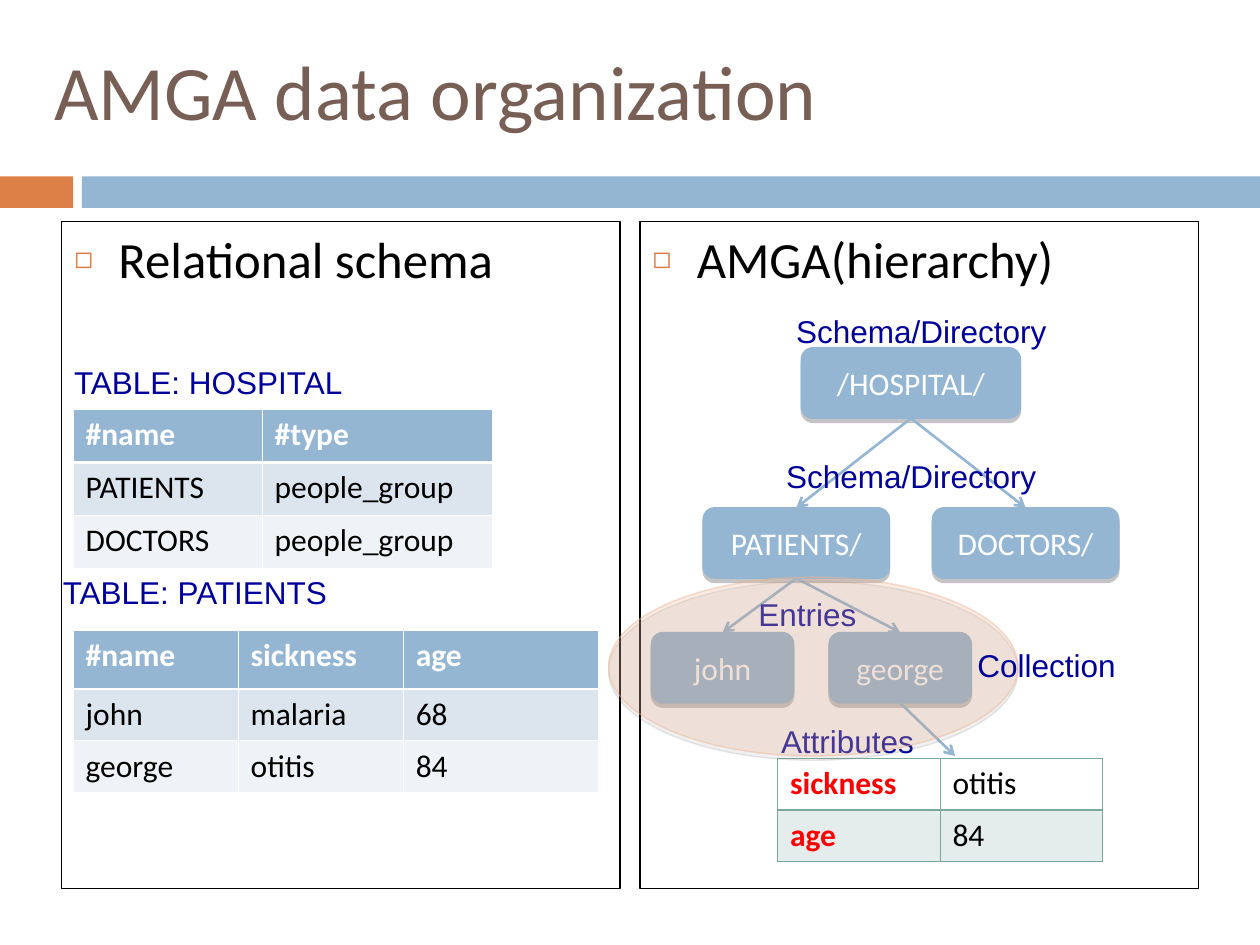
from lxml.etree import SubElement
from pptx import Presentation
from pptx.dml.color import RGBColor
from pptx.enum.shapes import MSO_CONNECTOR, MSO_SHAPE as SHAPE
from pptx.enum.text import MSO_ANCHOR as ANCHOR, MSO_AUTO_SIZE as FIT, PP_ALIGN as ALIGN
from pptx.oxml import parse_xml
from pptx.oxml.ns import nsdecls, qn
from pptx.util import Inches, Pt

NS = nsdecls("a")
BLUE, ORANGE, PEACH, GREEN = "94B6D2", "DD8047", "EBB391", "7BA79D"
WHITE, BLACK, RED, NAVY = "FFFFFF", "000000", "FF0000", "000099"
SHADOW = (f'<a:outerShdw {NS} blurRad="0" dist="30480" dir="5400000" algn="ctr" rotWithShape="0">'
          '<a:srgbClr val="808080"><a:alpha val="45000"/></a:srgbClr></a:outerShdw>')
rgb = RGBColor.from_string

prs = Presentation()
prs.slide_width, prs.slide_height = Inches(10), Inches(7.5)
s = prs.slides.add_slide(prs.slide_layouts[3])
unit = prs.slide_width / 100


def grid(*cells):
    return [round(c * unit) for c in cells]


def write(tf, text, color, size=18, name="Calibri", bold=False, align=ALIGN.LEFT):
    p = tf.paragraphs[0]
    p.alignment, p.space_before = align, Pt(0)
    r = p.add_run()
    r.text = text
    for key, value in {"size": Pt(size), "name": name, "bold": bold}.items():
        setattr(r.font, key, value)
    r.font.color.rgb = rgb(color)


title, left, right = s.placeholders
for ph, box in ((title, (3.3, 2.5, 95, 9.2)),
                (left, (4.9, 17.6, 44.3, 52.9)),
                (right, (50.8, 17.6, 44.3, 52.9))):
    ph.left, ph.top, ph.width, ph.height = grid(*box)
    ph.text_frame.auto_size = FIT.NONE
title.text_frame.vertical_anchor = ANCHOR.MIDDLE
write(title.text_frame, "AMGA data organization", "775F55", 44)

for ph, text in ((left, "Relational schema"), (right, "AMGA(hierarchy)")):
    ph.line.color.rgb = rgb(BLACK)
    ph.line.width = Pt(0.75)
    pPr = ph.text_frame.paragraphs[0]._p.get_or_add_pPr()
    pPr.set("marL", str(Inches(0.35)))
    pPr.set("indent", str(-Inches(0.35)))
    for bullet in (f'<a:buClr {NS}><a:srgbClr val="{ORANGE}"/></a:buClr>',
                   f'<a:buSzPct {NS} val="60000"/>',
                   f'<a:buChar {NS} char="◻"/>'):
        pPr.append(parse_xml(bullet))
    write(ph.text_frame, text, BLACK, 29)

for x, w, color in ((0, 5.8, ORANGE), (6.5, 93.5, BLUE)):
    sp = s.shapes.add_shape(SHAPE.RECTANGLE, *grid(x, 14, w, 2.5))
    sp.shadow.inherit = False
    sp.fill.solid()
    sp.fill.fore_color.rgb = rgb(color)
    sp.line.fill.background()

nodes = {}
for text, x, y, w in (("/HOSPITAL/", 63.6, 27.6, 17.4),
                      ("PATIENTS/", 55.8, 40.3, 14.8),
                      ("DOCTORS/", 74, 40.3, 14.8),
                      ("john", 51.7, 50.2, 11.3),
                      ("george", 65.8, 50.2, 11.3)):
    sp = nodes[text] = s.shapes.add_shape(SHAPE.ROUNDED_RECTANGLE, *grid(x, y, w, 5.6))
    sp.fill.solid()
    sp.fill.fore_color.rgb = sp.line.color.rgb = rgb(BLUE)
    sp.line.width = Pt(0.79)
    sp.shadow.inherit = False
    sp._element.spPr.find(qn("a:effectLst")).append(parse_xml(SHADOW))
    sp.text_frame.vertical_anchor = ANCHOR.MIDDLE
    write(sp.text_frame, text, WHITE, align=ALIGN.CENTER)

for start, end in (("/HOSPITAL/", "PATIENTS/"), ("/HOSPITAL/", "DOCTORS/"),
                   ("PATIENTS/", "john"), ("PATIENTS/", "george"),
                   ("george", "attributes")):
    c = s.shapes.add_connector(MSO_CONNECTOR.STRAIGHT, *grid(75.8, 60, 75.8, 60))
    c.begin_connect(nodes[start], 2)
    if end in nodes:
        c.end_connect(nodes[end], 0)
    c.line.color.rgb = rgb(BLUE)
    c.line.width = Pt(1.5)
    spPr = c._element.spPr
    SubElement(spPr.find(qn("a:ln")), qn("a:tailEnd"), type="arrow")
    SubElement(spPr, qn("a:effectLst"))

header = [(BLUE, 100), ("DCE5EE", 100), ("EFF3F7", 100)]
plain = [(None, 0), (GREEN, 20)]
for x, y, cols, rows, data, fills, edge, rule in (
    (5.8, 50, (13.1, 13.1, 15.5), (4.7, 4.1, 4),
     (("#name", "sickness", "age"), ("john", "malaria", "68"), ("george", "otitis", "84")),
     header, WHITE, 1.47),
    (61.7, 60.2, (12.9, 12.9), (4.1, 4),
     (("sickness", "otitis"), ("age", "84")), plain, GREEN, 0.96),
    (5.8, 32.5, (15,), (4.2,) * 3, (("#name",), ("PATIENTS",), ("DOCTORS",)),
     header, WHITE, 1.47),
    (20.8, 32.5, (18.3,), (4.2,) * 3, (("#type",), ("people_group",), ("people_group",)),
     header, WHITE, 1.47),
):
    tbl = s.shapes.add_table(len(rows), len(cols), *grid(x, y, sum(cols), sum(rows))).table
    for col, w in zip(tbl.columns, grid(*cols)):
        col.width = w
    for i, (row, h) in enumerate(zip(tbl.rows, grid(*rows))):
        row.height = h
        fill, alpha = fills[i]
        for j, cell in enumerate(row.cells):
            tcPr = cell._tc.get_or_add_tcPr()
            if fill:
                cell.fill.solid()
                cell.fill.fore_color.rgb = rgb(fill)
                if alpha < 100:
                    SubElement(next(tcPr.iter(qn("a:srgbClr"))), qn("a:alpha"), val=str(alpha * 1000))
            else:
                cell.fill.background()
            widths = {"L": 0.45, "R": 0.45, "T": rule if i == 1 else 0.45, "B": rule if i == 0 else 0.45}
            for k, (side, width) in enumerate(widths.items()):
                tcPr.insert(k, parse_xml(
                    f'<a:ln{side} {NS} w="{Pt(width)}"><a:solidFill><a:srgbClr val="{edge}"/>'
                    f'</a:solidFill></a:ln{side}>'))
            if fills is plain:
                bold, color = j == 0, RED if j == 0 else BLACK
            else:
                bold, color = i == 0, WHITE if i == 0 else BLACK
            write(cell.text_frame, data[i][j], color, bold=bold)

for text, x, y, w, h in (("Attributes", 61, 56.8, 12.5, 4),
                         ("Entries", 59.2, 46.7, 9.8, 4),
                         ("Schema/Directory", 61.4, 35.8, 21.8, 7.7),
                         ("Schema/Directory", 62.2, 24.3, 21.8, 7.7),
                         ("TABLE: PATIENTS", 4, 45, 23.5, 4),
                         ("TABLE: HOSPITAL", 4.9, 28.3, 23.6, 4),
                         ("Collection", 76.6, 50.8, 13, 4)):
    if text == "Collection":
        sp = s.shapes.add_shape(SHAPE.OVAL, *grid(48.3, 45.8, 32.5, 14.2))
        sp.fill.solid()
        sp.fill.fore_color.rgb = sp.line.color.rgb = rgb(PEACH)
        sp.line.width = Pt(0.79)
        for clr, alpha in zip(sp._element.spPr.iter(qn("a:srgbClr")), (25, 44)):
            SubElement(clr, qn("a:alpha"), val=str(alpha * 1000))
        sp.shadow.inherit = False
        sp._element.spPr.find(qn("a:effectLst")).append(parse_xml(SHADOW))
    tf = s.shapes.add_textbox(*grid(x, y, w, h)).text_frame
    for key, value in {"word_wrap": True, "auto_size": FIT.NONE, "margin_right": 0}.items():
        setattr(tf, key, value)
    write(tf, text, NAVY, name="Arial")

prs.save("out.pptx")
